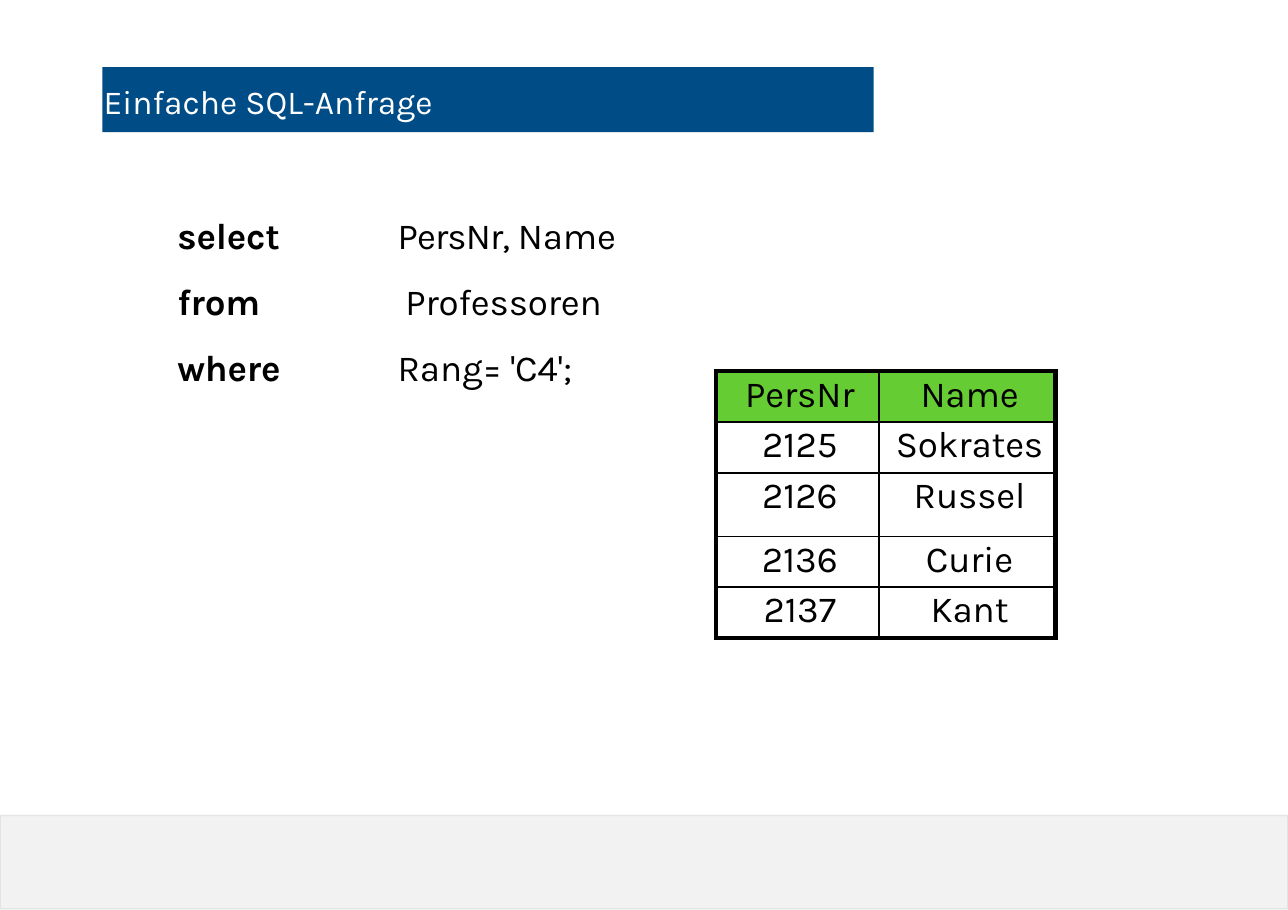
from lxml import etree
from pptx import Presentation
from pptx.dml.color import RGBColor
from pptx.enum.shapes import MSO_SHAPE
from pptx.enum.text import MSO_ANCHOR, MSO_AUTO_SIZE, PP_ALIGN
from pptx.oxml.ns import qn
from pptx.util import Inches, Pt

WHITE = RGBColor(0xFF, 0xFF, 0xFF)
BLACK = RGBColor(0, 0, 0)
BLUE = RGBColor(0x00, 0x4C, 0x87)
GREEN = RGBColor(0x66, 0xCC, 0x33)
BAND_GREY = RGBColor(0xF2, 0xF2, 0xF2)
EDGE_GREY = RGBColor(0x88, 0x91, 0x94)

RECTANGLE = MSO_SHAPE.RECTANGLE
TOP, MIDDLE = MSO_ANCHOR.TOP, MSO_ANCHOR.MIDDLE
LEFT, CENTER = PP_ALIGN.LEFT, PP_ALIGN.CENTER
NO_AUTOFIT = MSO_AUTO_SIZE.NONE

SLIDE_WIDTH, SLIDE_HEIGHT = 11.69, 8.26
FONT = "Karla"
TIGHT = -0.1
THICK, THIN = 3, 1.5

KEYWORDS = ["select", "from", "where"]
ARGUMENTS = [[("PersNr, ", -0.6), ("Name", TIGHT)], "Professoren", "Rang= 'C4';"]
ARGUMENT_INDENTS = [0.01, 0.08, 0.01]
RESULT = [
    ["PersNr", "Name"],
    ["2125", "Sokrates"],
    ["2126", "Russel"],
    ["2136", "Curie"],
    ["2137", "Kant"],
]
COLUMN_WIDTHS = [1.48, 1.6]
ROW_HEIGHTS = [0.46, 0.46, 0.58, 0.46, 0.46]


def write_text(frame, lines, size=24, color=BLACK, bold=False, align=LEFT,
               line_spacing=1.0, tracking=TIGHT, indents=None):
    """Write one paragraph per line; a line is a string or (text, tracking) pairs."""
    for index, line in enumerate(lines):
        para = frame.paragraphs[0] if index == 0 else frame.add_paragraph()
        para.alignment = align
        para.line_spacing = line_spacing
        para.space_before = Pt(0)
        if indents:
            properties = para._p.get_or_add_pPr()
            properties.set("marL", str(Inches(indents[index])))
            properties.set("indent", "0")
        pieces = [(line, tracking)] if isinstance(line, str) else line
        for text, spacing in pieces:
            span = para.add_run()
            span.text = text
            span.font.name = FONT
            span.font.size = Pt(size)
            span.font.bold = bold
            span.font.color.rgb = color
            span._r.get_or_add_rPr().set("spc", str(round(spacing * 100)))


def clear_margins(frame):
    frame.margin_left = frame.margin_right = 0
    frame.margin_top = frame.margin_bottom = 0
    frame.auto_size = NO_AUTOFIT
    frame.word_wrap = True


def add_footer_band(page, left, top, width, height):
    band = page.shapes.add_shape(RECTANGLE, *map(Inches, (left, top, width, height)))
    band.shadow.inherit = False
    band.fill.solid()
    band.fill.fore_color.rgb = BAND_GREY
    band.line.color.rgb = EDGE_GREY
    band.line.width = Pt(1)
    edge_color = band.line._ln.find(".//" + qn("a:srgbClr"))
    etree.SubElement(edge_color, qn("a:alpha")).set("val", "15000")


def format_title(page, left, top, width, height):
    title = page.shapes.title
    title.left, title.top = Inches(left), Inches(top)
    title.width, title.height = Inches(width), Inches(height)
    title.fill.solid()
    title.fill.fore_color.rgb = BLUE
    frame = title.text_frame
    clear_margins(frame)
    frame.margin_top = Inches(0.03)
    frame.vertical_anchor = MIDDLE
    write_text(frame, ["Einfache SQL-Anfrage"], size=21.9, color=WHITE,
               tracking=0, indents=[0.01])


def add_query(page, left, top, width, height):
    """Keywords fill the left half of the box, their arguments the right half."""
    half = width / 2
    columns = [
        (KEYWORDS, True, [0.01] * len(KEYWORDS)),
        (ARGUMENTS, False, ARGUMENT_INDENTS),
    ]
    for number, (lines, bold, indents) in enumerate(columns):
        box = page.shapes.add_textbox(Inches(left + number * half), Inches(top),
                                      Inches(half), Inches(height))
        clear_margins(box.text_frame)
        write_text(box.text_frame, lines, bold=bold, line_spacing=1.5, indents=indents)


def set_borders(cell, widths):
    properties = cell._tc.get_or_add_tcPr()
    for position, (side, width) in enumerate(widths.items()):
        line = etree.Element(qn("a:" + side), w=str(Pt(width)))
        fill = etree.SubElement(line, qn("a:solidFill"))
        etree.SubElement(fill, qn("a:srgbClr"), val=str(BLACK))
        properties.insert(position, line)


def add_result_table(page, left, top):
    size = Inches(sum(COLUMN_WIDTHS)), Inches(sum(ROW_HEIGHTS))
    last_row, last_column = len(RESULT) - 1, len(COLUMN_WIDTHS) - 1
    table = page.shapes.add_table(last_row + 1, last_column + 1,
                                  Inches(left), Inches(top), *size).table
    for column, width in zip(table.columns, COLUMN_WIDTHS):
        column.width = Inches(width)
    for row, height in zip(table.rows, ROW_HEIGHTS):
        row.height = Inches(height)
    for r, values in enumerate(RESULT):
        for c, value in enumerate(values):
            cell = table.cell(r, c)
            cell.margin_left, cell.margin_right = Inches(0.04), 0
            cell.margin_top, cell.margin_bottom = Inches(0.02), 0
            cell.vertical_anchor = TOP
            cell.fill.solid()
            cell.fill.fore_color.rgb = GREEN if r == 0 else WHITE
            write_text(cell.text_frame, [value], align=CENTER,
                       tracking=0 if value.isdigit() else TIGHT)
            set_borders(cell, {
                "lnL": THICK if c == 0 else THIN,
                "lnR": THICK if c == last_column else THIN,
                "lnT": THICK if r == 0 else THIN,
                "lnB": THICK if r == last_row else THIN,
            })


def main():
    deck = Presentation()
    deck.slide_width, deck.slide_height = Inches(SLIDE_WIDTH), Inches(SLIDE_HEIGHT)
    page = deck.slides.add_slide(deck.slide_layouts[5])
    add_footer_band(page, 0, 7.4, SLIDE_WIDTH, 0.85)
    format_title(page, 0.93, 0.61, 7, 0.59)
    add_query(page, 1.6, 1.73, 4, 1.82)
    add_result_table(page, 6.5, 3.37)
    deck.save("out.pptx")


if __name__ == "__main__":
    main()
